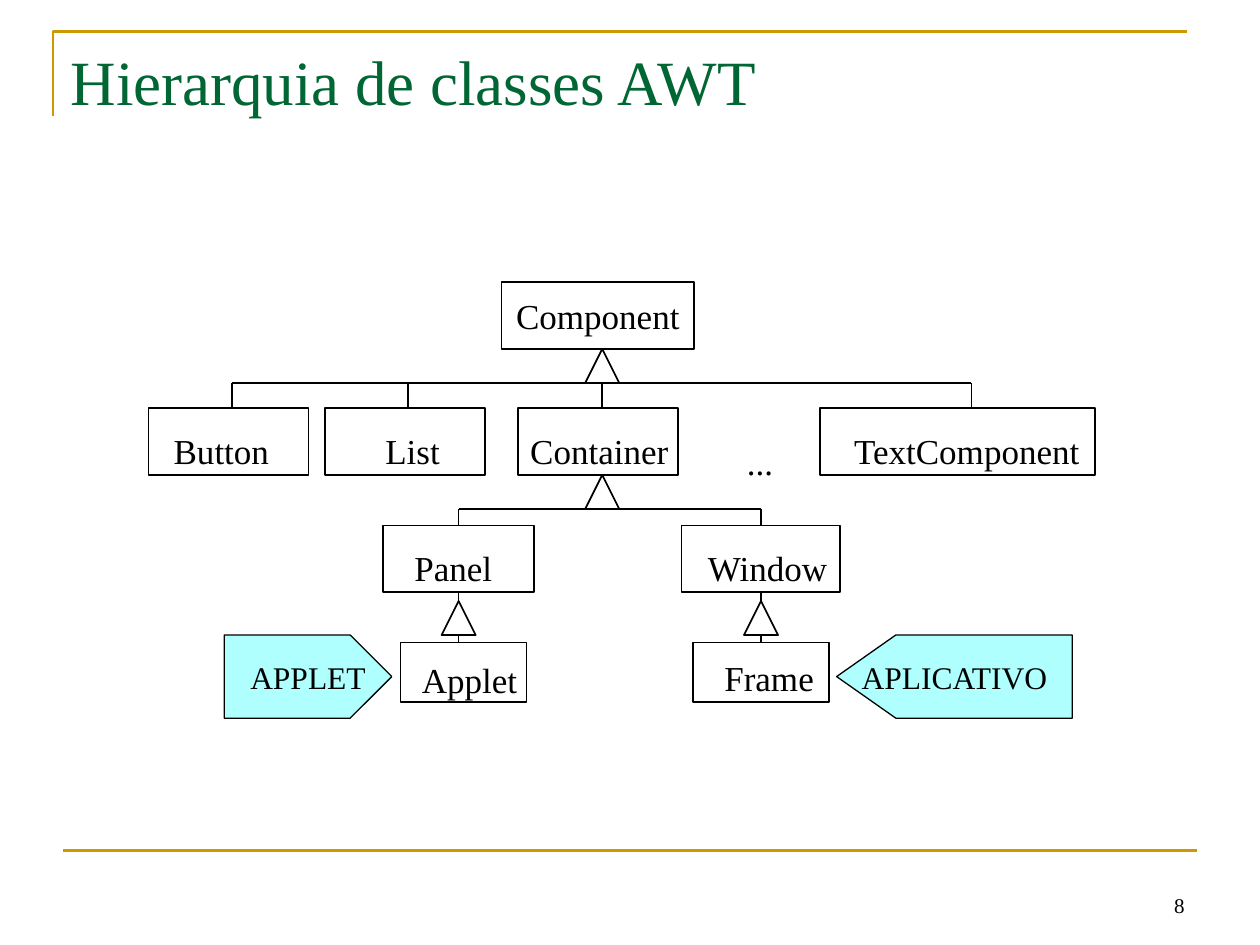
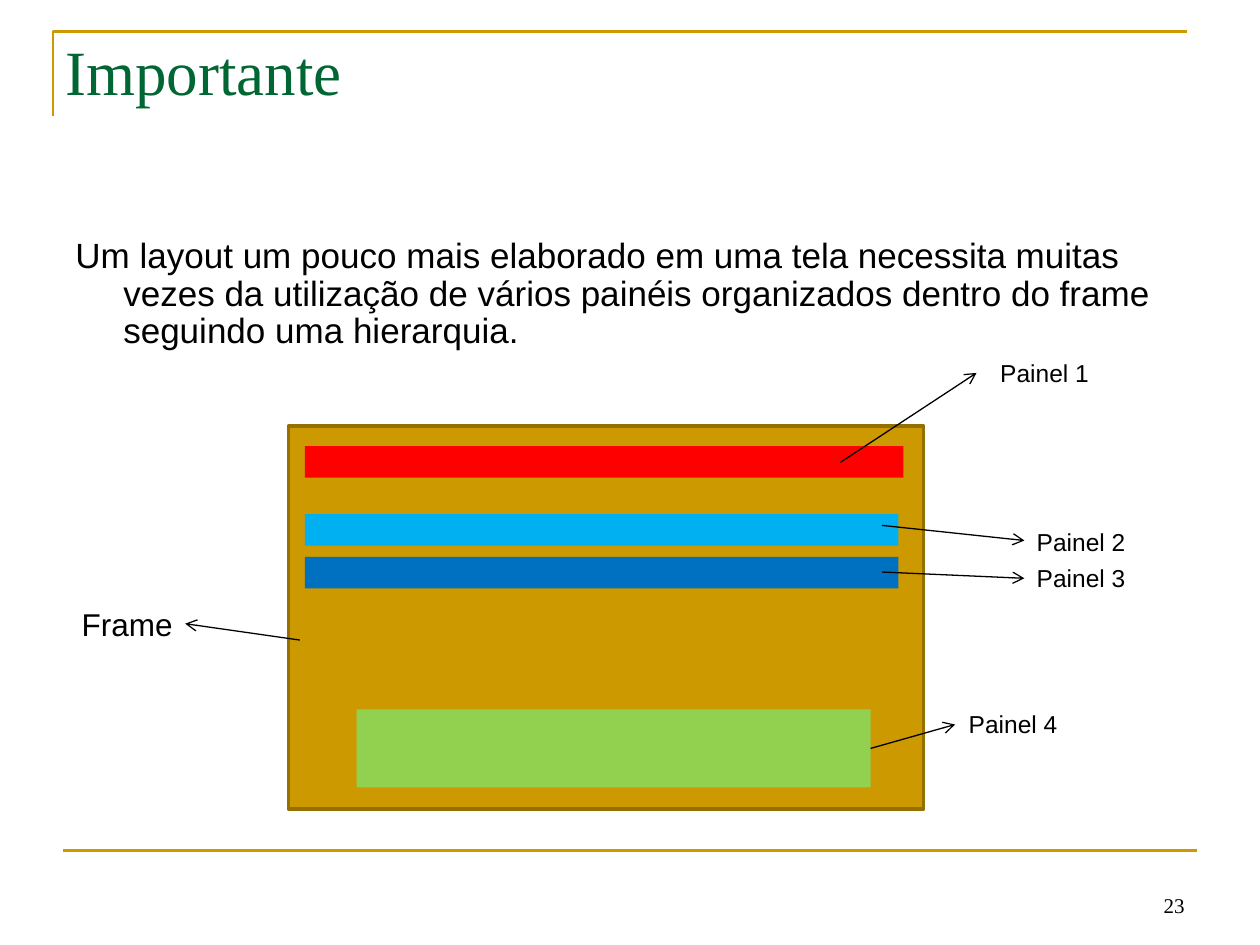
from dataclasses import dataclass

from lxml import etree
from pptx import Presentation
from pptx.dml.color import RGBColor
from pptx.enum import shapes, text
from pptx.oxml import ns
from pptx.util import Inches, Pt


@dataclass(frozen=True)
class Theme:
    gold: str = "CC9900"
    dark_gold: str = "956F00"
    green: str = "006633"
    black: str = "000000"
    white: str = "FFFFFF"
    cyan: str = "AFFFFF"
    serif: str = "Times New Roman"
    sans: str = "Arial"
    title: int = 36
    body: int = 20
    tag: int = 18
    panel: int = 14
    number: int = 12


THEME = Theme()

# Content: class hierarchy (lengths in inches)
HIERARCHY = {"title": "Hierarquia de classes AWT", "title_at": (0.46, 0.29, 6.89, 0.7), "number": "8"}
CLASS_BOXES = {
    "Component": (3.98, 2.24, 1.53, 0.53),
    "Button": (1.18, 3.24, 1.27, 0.53),
    "List": (2.58, 3.24, 1.27, 0.53),
    "Container": (4.11, 3.24, 1.27, 0.53),
    "TextComponent": (6.51, 3.24, 2.18, 0.53),
    "Panel": (3.04, 4.17, 1.2, 0.53),
    "Window": (5.41, 4.17, 1.26, 0.53),
    "Applet": (3.18, 5.1, 1, 0.47),
    "Frame": (5.5, 5.1, 1.08, 0.47),
}
CLASS_LABELS = [
    ("Button", 1.28, 3.36, 0.96),
    ("List", 2.96, 3.36, 0.63),
    ("Container", 4.11, 3.36, 1.3),
    ("TextComponent", 6.68, 3.36, 2.01),
    ("Panel", 3.19, 4.29, 0.82),
    ("Window", 5.52, 4.29, 1.16),
    ("Applet", 3.25, 5.18, 0.96),
    ("Frame", 5.65, 5.16, 0.91),
    ("...", 5.83, 3.45, 0.41),
]
LABEL_HEIGHT = 0.44
TRUNK, PANEL_X, WINDOW_X = 4.78, 3.64, 6.04
COMPONENT_BUS, CONTAINER_BUS = 3.04, 4.04
COMPONENT_CHILDREN = [1.84, 3.24, TRUNK, 7.71]
TRIANGLE = 0.27
TRIANGLES = [(TRUNK, 2.77), (TRUNK, 3.77), (PANEL_X, 4.77), (WINDOW_X, 4.77)]
TAGS = [
    ("APPLET", [(1.78, 5.04), (2.78, 5.04), (3.11, 5.37), (2.78, 5.7), (1.78, 5.7)]),
    ("APLICATIVO", [(8.51, 5.04), (7.11, 5.04), (6.64, 5.37), (7.11, 5.7), (8.51, 5.7)]),
]

# Content: frame with panels
LAYOUT = {"title": "Importante", "title_at": (0.42, 0.21, 2.71, 0.81), "number": "23"}
LAYOUT_TEXT = (
    "Um layout um pouco mais elaborado em uma tela necessita muitas vezes da utilização "
    "de vários painéis organizados dentro do frame seguindo uma hierarquia."
)
FRAME = (2.29, 3.38, 5.04, 3.04)
PANELS = [
    ("Painel 1", "FF0000", (2.42, 3.54, 4.75, 0.25), (7.84, 2.79), (6.67, 3.67), (7.75, 2.96)),
    ("Painel 2", "00B0F0", (2.42, 4.08, 4.71, 0.25), (8.13, 4.13), (7, 4.17), (8.13, 4.29)),
    ("Painel 3", "0070C0", (2.42, 4.42, 4.71, 0.25), (8.13, 4.42), (7, 4.54), (8.13, 4.59)),
    ("Painel 4", "92D050", (2.83, 5.63, 4.08, 0.62), (7.59, 5.58), None, (7.58, 5.75)),
]
PANEL_LABEL_SIZE = (1, 0.34)


# Helpers
def inches(values):
    return [Inches(value) for value in values]


def color(value):
    return RGBColor.from_string(value)


def set_all(target, values):
    for name, value in values.items():
        setattr(target, name, value)


def paint(shape, fill=None, line=None, width=1):
    shape.shadow.inherit = False
    if fill:
        shape.fill.solid()
        shape.fill.fore_color.rgb = color(fill)
    else:
        shape.fill.background()
    if line:
        shape.line.color.rgb = color(line)
        shape.line.width = Pt(width)
    else:
        shape.line.fill.background()


def write(shape, words, size, font=THEME.serif, ink=THEME.black, align=text.PP_ALIGN.LEFT, **frame_format):
    frame = shape.text_frame
    margins = {"margin_left": 0.1, "margin_right": 0.1, "margin_top": 0.05, "margin_bottom": 0.05}
    set_all(frame, {name: Inches(value) for name, value in margins.items()})
    set_all(frame, {"word_wrap": False, **frame_format})
    frame.text = words
    paragraph = frame.paragraphs[0]
    paragraph.alignment = align
    set_all(paragraph.font, {"name": font, "size": Pt(size), "bold": False})
    paragraph.font.color.rgb = color(ink)
    return paragraph


def add_label(slide, words, at, size, **options):
    return write(slide.shapes.add_textbox(*inches(at)), words, size, **options)


def add_box(slide, at, fill, line=None, width=1, kind=shapes.MSO_SHAPE.RECTANGLE):
    shape = slide.shapes.add_shape(kind, *inches(at))
    paint(shape, fill, line, width)
    return shape


def add_outline(slide, points, closed, fill, line, width):
    corners = [inches(point) for point in points]
    builder = slide.shapes.build_freeform(*corners[0])
    builder.add_line_segments(corners[1:], close=closed)
    shape = builder.convert_to_shape()
    paint(shape, fill, line, width)
    return shape


def add_line(slide, start, end, ink=THEME.black, width=1, arrow=False):
    line = slide.shapes.add_connector(shapes.MSO_CONNECTOR.STRAIGHT, *inches((*start, *end)))
    line.line.color.rgb = color(ink)
    line.line.width = Pt(width)
    if arrow:
        etree.SubElement(line.line._get_or_add_ln(), ns.qn("a:tailEnd"), type="arrow")
    etree.SubElement(line._element.spPr, ns.qn("a:effectLst"))
    return line


def add_slide(presentation, content):
    """Add the gold rules, title and slide number shared by all slides."""
    slide = presentation.slides.add_slide(presentation.slide_layouts[5])
    add_outline(slide, [(0.42, 0.92), (0.42, 0.25), (9.42, 0.25)], False, None, THEME.gold, 1.5)
    add_line(slide, (0.5, 6.75), (9.5, 6.75), THEME.gold, 1.5)
    title = slide.shapes.title
    set_all(title, dict(zip(("left", "top", "width", "height"), inches(content["title_at"]))))
    write(title, content["title"], THEME.title, ink=THEME.green, margin_bottom=0,
          vertical_anchor=text.MSO_ANCHOR.TOP, auto_size=text.MSO_AUTO_SIZE.NONE)
    add_label(slide, content["number"], (7.17, 6.83, 2.33, 0.5), THEME.number,
              align=text.PP_ALIGN.RIGHT, word_wrap=True, vertical_anchor=text.MSO_ANCHOR.BOTTOM)
    return slide


# Slides
def build_hierarchy(presentation):
    slide = add_slide(presentation, HIERARCHY)
    centered = {"align": text.PP_ALIGN.CENTER, "vertical_anchor": text.MSO_ANCHOR.MIDDLE}

    # Class boxes and their names
    boxes = {name: add_box(slide, at, THEME.white, THEME.black) for name, at in CLASS_BOXES.items()}
    write(boxes["Component"], "Component", THEME.body, **centered)
    for name, left, top, width in CLASS_LABELS:
        add_label(slide, name, (left, top, width, LABEL_HEIGHT), THEME.body)

    # Inheritance lines
    add_line(slide, (TRUNK, 2.77), (TRUNK, COMPONENT_BUS))
    add_line(slide, (COMPONENT_CHILDREN[0], COMPONENT_BUS), (COMPONENT_CHILDREN[-1], COMPONENT_BUS))
    for x in COMPONENT_CHILDREN:
        add_line(slide, (x, 3.24), (x, COMPONENT_BUS))
    add_line(slide, (TRUNK, 3.77), (TRUNK, CONTAINER_BUS))
    add_line(slide, (PANEL_X, CONTAINER_BUS), (WINDOW_X, CONTAINER_BUS))
    for x, parent, child in ((PANEL_X, "Panel", "Applet"), (WINDOW_X, "Window", "Frame")):
        add_line(slide, (x, CONTAINER_BUS), (x, 4.17)).end_connect(boxes[parent], 0)
        line = add_line(slide, (x, 4.7), (x, 5.1))
        line.begin_connect(boxes[parent], 2)
        if child == "Frame":
            line.end_connect(boxes[child], 0)
    for x, top in TRIANGLES:
        at = (x - TRIANGLE / 2, top, TRIANGLE, TRIANGLE)
        add_box(slide, at, THEME.white, THEME.black, kind=shapes.MSO_SHAPE.ISOSCELES_TRIANGLE)

    # Pointed tags
    for words, points in TAGS:
        tag = add_outline(slide, points, True, THEME.cyan, THEME.black, 0.75)
        write(tag, words, THEME.tag, **centered)


def build_layout(presentation):
    slide = add_slide(presentation, LAYOUT)

    # Hanging paragraph
    paragraph = add_label(slide, LAYOUT_TEXT, (0.5, 1.83, 9.11, 1.17), THEME.body,
                          font=THEME.sans, word_wrap=True, margin_top=Inches(0.06))
    paragraph.line_spacing = 0.9
    properties = paragraph._p.get_or_add_pPr()
    properties.set("marL", str(Inches(0.38)))
    properties.set("indent", str(-Inches(0.38)))

    # Frame, panels and arrows to their names
    add_box(slide, FRAME, THEME.gold, THEME.dark_gold, 2)
    panels = [add_box(slide, at, fill) for _, fill, at, *_ in PANELS]
    for panel, (name, _, _, label_at, start, end) in zip(panels, PANELS):
        arrow = add_line(slide, start or end, end, width=0.75, arrow=True)
        if start is None:
            arrow.begin_connect(panel, 3)
        add_label(slide, name, (*label_at, *PANEL_LABEL_SIZE), THEME.panel, font=THEME.sans, word_wrap=True)
    add_label(slide, "Frame", (0.55, 4.75, 0.92, 0.4), THEME.tag, font=THEME.sans)
    add_line(slide, (2.38, 5.08), (1.47, 4.95), width=0.75, arrow=True)


def main():
    presentation = Presentation()
    presentation.slide_width, presentation.slide_height = Inches(10), Inches(7.5)
    build_hierarchy(presentation)
    build_layout(presentation)
    presentation.save("out.pptx")


if __name__ == "__main__":
    main()
